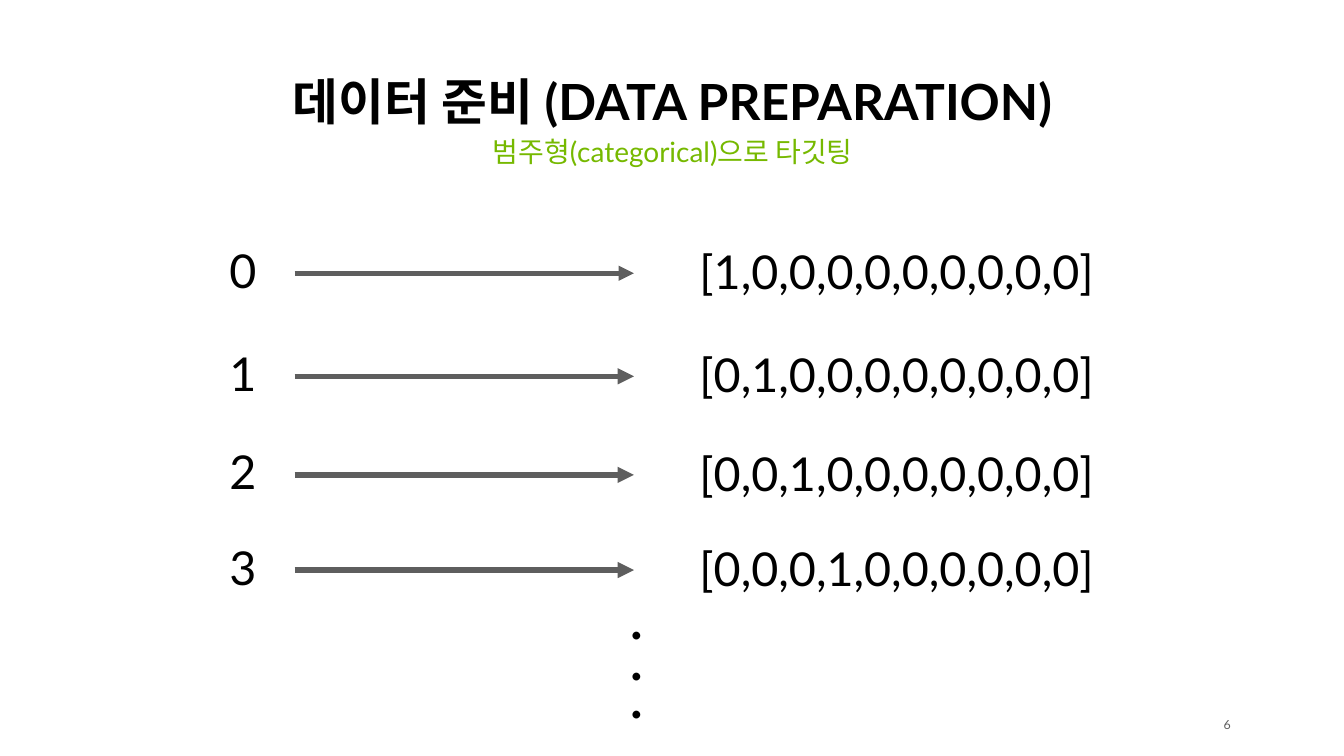
from dataclasses import dataclass

from lxml.etree import SubElement
from pptx import Presentation
from pptx.dml.color import RGBColor
from pptx.enum.shapes import MSO_CONNECTOR
from pptx.enum.text import MSO_ANCHOR, MSO_AUTO_SIZE, PP_ALIGN
from pptx.oxml.ns import qn
from pptx.util import Inches, Pt


@dataclass(frozen=True)
class Theme:
    font: str = "Lato"
    black: RGBColor = RGBColor(0x00, 0x00, 0x00)
    green: RGBColor = RGBColor(0x76, 0xB9, 0x00)
    gray: RGBColor = RGBColor(0x5E, 0x5E, 0x5E)
    title: int = 32
    subtitle: int = 18
    label: int = 30
    dot: int = 40
    number: int = 8


THEME = Theme()
CLASSES = 10
ROW_TOPS = (2.16, 3.08, 3.96, 4.81)
ROW_HEIGHT = 0.56
DOT_TOPS = (5.1, 5.47, 5.81)


def set_text(s, text, size, color, align=PP_ALIGN.CENTER, spacing=0.9,
             anchor=MSO_ANCHOR.MIDDLE, bold=False):
    tf = s.text_frame
    tf.word_wrap = True
    tf.vertical_anchor = anchor
    tf.text = text
    p = tf.paragraphs[0]
    p.alignment = align
    p.line_spacing = spacing
    p.space_before = Pt(0)
    font = p.runs[0].font
    font.name = THEME.font
    font.size = Pt(size)
    font.bold = bold
    font.color.rgb = color
    return tf


def add_text(slide, box, text, size, color, **options):
    s = slide.shapes.add_textbox(*map(Inches, box))
    return set_text(s, text, size, color, **options)


def add_arrow(slide, left, right, y, width):
    line = slide.shapes.add_connector(
        MSO_CONNECTOR.STRAIGHT, Inches(left), Inches(y), Inches(right), Inches(y))
    line.line.color.rgb = THEME.gray
    line.line.width = Pt(width)
    SubElement(line.line._get_or_add_ln(), qn("a:tailEnd"), type="triangle")
    SubElement(line._element.spPr, qn("a:effectLst"))


def add_heading(slide, left, top, width):
    title = slide.shapes.title
    title.left, title.top = Inches(left), Inches(top)
    title.width, title.height = Inches(width), Inches(0.65)
    tf = set_text(title, "데이터 준비 (DATA PREPARATION)", THEME.title, THEME.black,
                  anchor=MSO_ANCHOR.BOTTOM, bold=True)
    tf.auto_size = MSO_AUTO_SIZE.NONE
    add_text(slide, (left, top + 0.62, width, 0.57), "범주형(categorical)으로 타깃팅",
             THEME.subtitle, THEME.green, anchor=MSO_ANCHOR.TOP)


def add_encoding_row(slide, left, top, digit):
    """Digit, arrow and its one-hot vector."""
    vector = ",".join(str(int(i == digit)) for i in range(CLASSES))
    add_text(slide, (left, top, 0.9, ROW_HEIGHT), str(digit),
             THEME.label, THEME.black).auto_size = MSO_AUTO_SIZE.SHAPE_TO_FIT_TEXT
    add_text(slide, (left + 3.52, top + 0.01, 5.64, ROW_HEIGHT), f"[{vector}] ",
             THEME.label, THEME.black).auto_size = MSO_AUTO_SIZE.SHAPE_TO_FIT_TEXT
    add_arrow(slide, left + 0.91, left + 3.94, top + ROW_HEIGHT / 2,
              3.5 if digit else 3.25)


def add_dots(slide, left, tops):
    for top in tops:
        tf = add_text(slide, (left, top, 0.9, 0.77), ".", THEME.dot, THEME.black,
                      spacing=1.0)
        tf.auto_size = MSO_AUTO_SIZE.SHAPE_TO_FIT_TEXT


def add_page_number(slide, box, number):
    tf = add_text(slide, box, str(number), THEME.number, THEME.gray,
                  align=PP_ALIGN.RIGHT, spacing=1.0)
    tf.margin_left = tf.margin_top = tf.margin_bottom = 0
    tf.margin_right = Inches(0.04)


def main():
    prs = Presentation()
    prs.slide_width, prs.slide_height = Inches(12), Inches(6.75)
    slide = prs.slides.add_slide(prs.slide_layouts[5])

    # Title and subtitle
    add_heading(slide, 0.55, 0.57, 10.91)

    # One-hot encodings, continued by dots
    for digit, top in enumerate(ROW_TOPS):
        add_encoding_row(slide, 1.72, top, digit)
    add_dots(slide, 5.24, DOT_TOPS)

    # Footer
    add_page_number(slide, (10.68, 6.38, 0.35, 0.18), 6)

    prs.save("out.pptx")


if __name__ == "__main__":
    main()
